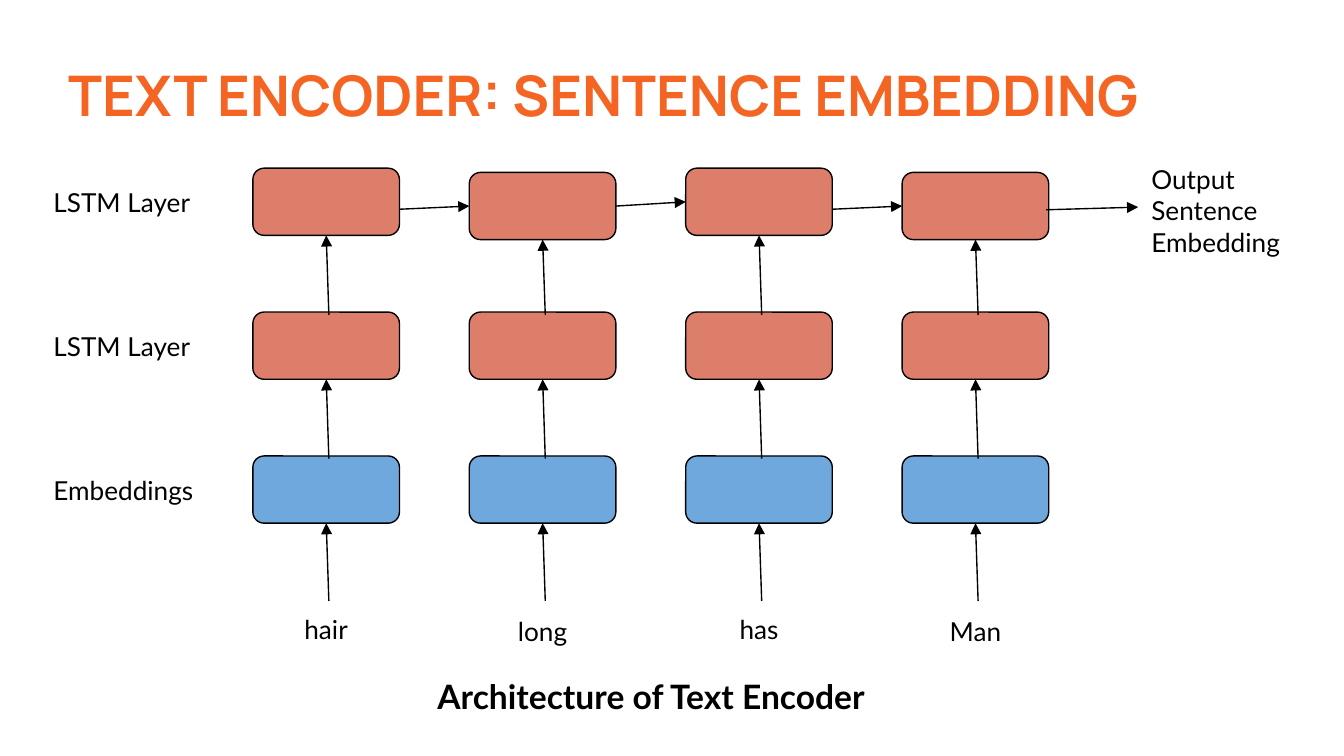
from dataclasses import dataclass

from lxml.etree import SubElement
from pptx import Presentation
from pptx.dml.color import RGBColor
from pptx.enum.shapes import MSO_CONNECTOR, MSO_SHAPE
from pptx.enum.text import PP_ALIGN
from pptx.oxml.ns import qn
from pptx.util import Cm, Pt


@dataclass(frozen=True)
class Theme:
    title: RGBColor = RGBColor.from_string("F46524")
    ink: RGBColor = RGBColor.from_string("000000")
    lstm: RGBColor = RGBColor.from_string("DD7E6B")
    embed: RGBColor = RGBColor.from_string("6FA8DC")
    head: str = "Manrope"
    body: str = "Lato"
    large: float = 30
    mid: float = 18
    small: float = 14
    line: float = 0.75


THEME = Theme()
TOP, LEFT, BOTTOM, RIGHT = range(4)
WORDS = ["hair", "long", "has", "Man"]
LABELS = ["LSTM Layer", "LSTM Layer", "Embeddings"]
CELL_W, CELL_H = 2.77, 1.27
STEP_X, STEP_Y = 4.09, 2.72
DROP, SHIFT = 0.08, 0.05


def add_text(slide, box, lines, size=THEME.small, font=THEME.body,
             color=THEME.ink, bold=False, align=PP_ALIGN.LEFT):
    frame = slide.shapes.add_textbox(*map(Cm, box)).text_frame
    frame.word_wrap = True
    frame.margin_left = frame.margin_right = Cm(0.25)
    frame.margin_top = frame.margin_bottom = Cm(0.25)
    for i, line in enumerate(lines):
        para = frame.add_paragraph() if i else frame.paragraphs[0]
        para.alignment = align
        run = para.add_run()
        run.text = line
        run.font.name = font
        run.font.size = Pt(size)
        run.font.bold = bold
        run.font.color.rgb = color


def add_cell(slide, x, y, fill):
    cell = slide.shapes.add_shape(
        MSO_SHAPE.ROUNDED_RECTANGLE, Cm(x), Cm(y), Cm(CELL_W), Cm(CELL_H))
    cell.shadow.inherit = False
    cell.fill.solid()
    cell.fill.fore_color.rgb = fill
    cell.line.color.rgb = THEME.ink
    cell.line.width = Pt(THEME.line)
    return cell


def add_arrow(slide, start, end):
    arrow = slide.shapes.add_connector(
        MSO_CONNECTOR.STRAIGHT, *map(Cm, start + end))
    arrow.line.color.rgb = THEME.ink
    arrow.line.width = Pt(THEME.line)
    props = arrow.line._get_or_add_ln()
    SubElement(props, qn("a:tailEnd"), type="triangle")
    SubElement(arrow._element.spPr, qn("a:effectLst"))
    return arrow


def add_column(slide, box, word, drop):
    x, y, w, h = box
    mid = x + w / 2
    tops = [y + drop, y + STEP_Y, y + 2 * STEP_Y]
    fills = [THEME.lstm, THEME.lstm, THEME.embed]
    cells = [add_cell(slide, x, top, fill) for top, fill in zip(tops, fills)]
    starts = [top + SHIFT for top in tops[1:]] + [y + h - 1.02]
    for cell, top, start in zip(cells, tops, starts):
        arrow = add_arrow(slide, (mid + SHIFT, start), (mid, top + CELL_H))
        arrow.end_connect(cell, BOTTOM)
    add_text(slide, (x + 0.18, y + h - 1.04 + drop / 2, w - 0.36, 1.04),
             [word], align=PP_ALIGN.CENTER)
    return cells[0]


def add_network(slide, box):
    x, y, w, h = box
    cells = [
        add_column(slide, (x + i * STEP_X, y, CELL_W, h), word, i % 2 * DROP)
        for i, word in enumerate(WORDS)
    ]
    mid = y + CELL_H / 2
    for i, (cell, after) in enumerate(zip(cells, cells[1:])):
        right = x + i * STEP_X + CELL_W
        arrow = add_arrow(slide, (right, mid + 0.14),
                          (x + (i + 1) * STEP_X, mid))
        if i % 2:
            arrow.begin_connect(cell, RIGHT)
        arrow.end_connect(after, LEFT)
    add_arrow(slide, (x + 3 * STEP_X + CELL_W - SHIFT, mid + 0.15),
              (x + w, mid + 0.1))


def add_labels(slide, box):
    x, y, w, h = box
    for i, label in enumerate(LABELS):
        add_text(slide, (x, y + i * STEP_Y, w, h), [label])


def main():
    deck = Presentation()
    deck.slide_width, deck.slide_height = Cm(25.4), Cm(14.29)
    slide = deck.slides.add_slide(deck.slide_layouts[6])
    add_text(slide, (1.04, 0.89, 23.29, 1.75),
             ["TEXT ENCODER: SENTENCE EMBEDDING"],
             THEME.large, THEME.head, THEME.title, True)
    add_labels(slide, (0.76, 3.28, 3.76, 1.04))
    add_network(slide, (4.78, 3.18, 16.73, 9.2))
    add_text(slide, (21.51, 2.84, 3.4, 2.13),
             ["Output", "Sentence", "Embedding"])
    add_text(slide, (3.86, 12.52, 16.89, 1.35),
             ["Architecture of Text Encoder"],
             THEME.mid, bold=True, align=PP_ALIGN.CENTER)
    deck.save("out.pptx")


if __name__ == "__main__":
    main()
